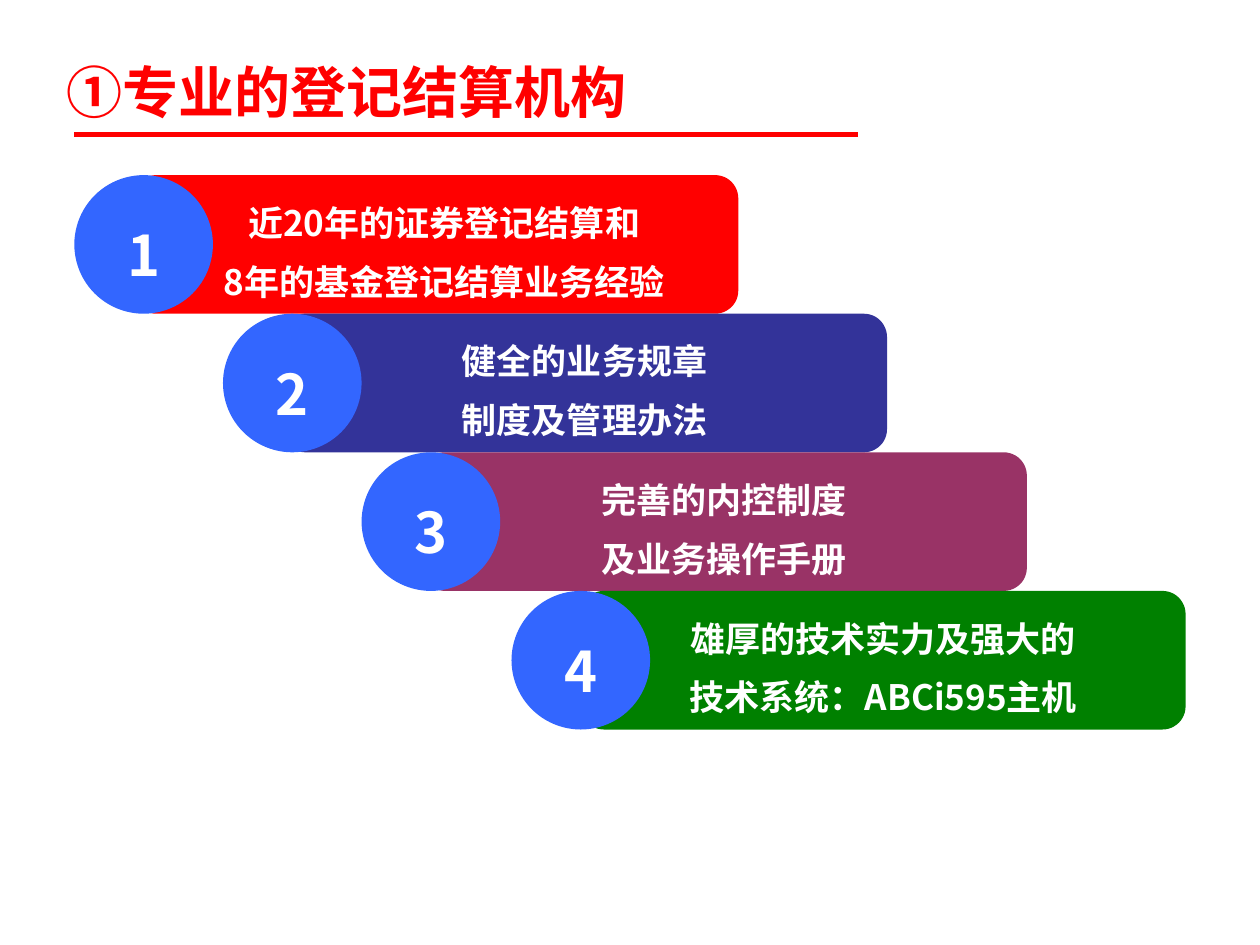
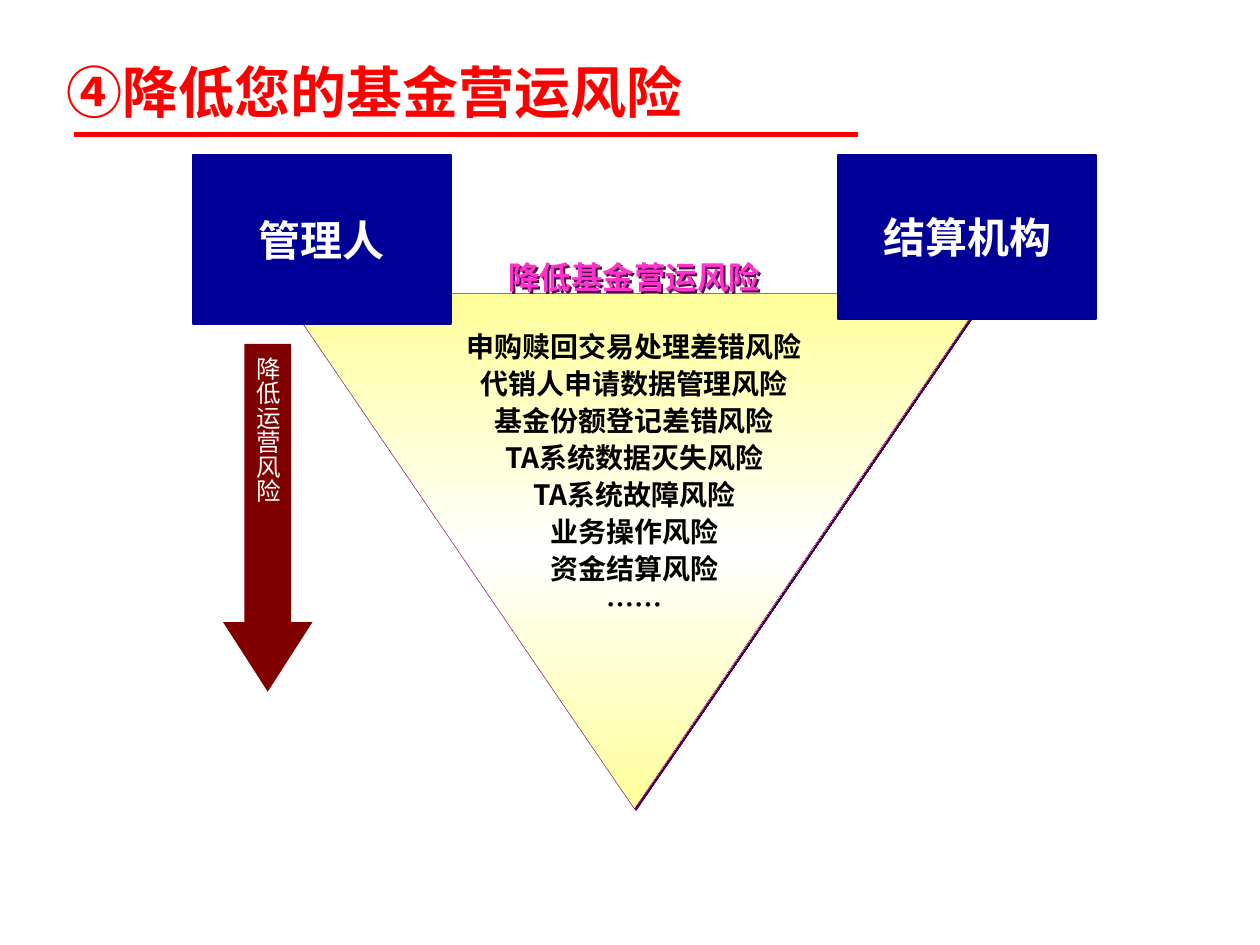
from pptx import Presentation
from pptx.dml.color import RGBColor
from pptx.enum.shapes import MSO_CONNECTOR, MSO_SHAPE
from pptx.enum.text import MSO_ANCHOR, PP_ALIGN
from pptx.oxml import parse_xml
from pptx.oxml.ns import nsdecls, qn
from pptx.util import Inches, Pt
from lxml.etree import SubElement

COLORS = {
    "red": "FF0000", "indigo": "333399", "plum": "993366", "green": "008000",
    "blue": "3366FF", "navy": "000099", "maroon": "800000", "purple": "800080",
    "shadow": "4C004C", "pink": "FF33CC", "yellow": "FFFF99",
    "white": "FFFFFF", "black": "000000",
}
FONT = "Noto Sans CJK SC"
BOX_FONT = "Quicksand"

# Staircase on the first slide
STEP_TOP, STEP_HEIGHT, BAR_WIDTH = 1.39, 1.1, 4.8
STEPS = [  # circle left, bar left, bar colour, lines
    (0.59, 1.06, "red", ["近20年的证券登记结算和", "8年的基金登记结算业务经验"]),
    (1.77, 2.24, "indigo", ["健全的业务规章", "制度及管理办法"]),
    (2.87, 3.35, "plum", ["完善的内控制度", "及业务操作手册"]),
    (4.06, 4.61, "green", ["雄厚的技术实力及强大的", "技术系统：ABCi595主机"]),
]
RISKS = [
    "申购赎回交易处理差错风险", "代销人申请数据管理风险", "基金份额登记差错风险",
    "TA系统数据灭失风险", "TA系统故障风险", "业务操作风险", "资金结算风险", "……",
]


def rgb(name):
    return RGBColor.from_string(COLORS[name])


def write(shape, lines, size, color="white", font=FONT, bold=True, leading=None,
          gap=0, align=PP_ALIGN.CENTER, anchor=MSO_ANCHOR.MIDDLE,
          insets=(0.1, 0.05, 0.1, 0.05), wrap=True):
    """Fill a shape with one paragraph per line."""
    frame = shape.text_frame
    frame.word_wrap = wrap
    frame.vertical_anchor = anchor
    (frame.margin_left, frame.margin_top,
     frame.margin_right, frame.margin_bottom) = map(Inches, insets)
    for index, line in enumerate(lines):
        para = frame.add_paragraph() if index else frame.paragraphs[0]
        para.alignment = align
        para.space_before = para.space_after = Pt(gap)
        if leading:
            para.line_spacing = Pt(leading)
        span = para.add_run()
        span.text = line
        span.font.size, span.font.bold, span.font.name = Pt(size), bold, font
        span.font.color.rgb = rgb(color)
        properties = span.font._element
        properties.set("lang", "zh-CN")
        SubElement(properties, qn("a:ea")).set("typeface", FONT)


def add_block(page, kind, place, fill, line=None):
    """Add a filled preset shape; place is left, top, width, height."""
    block = page.shapes.add_shape(kind, *map(Inches, place))
    block.shadow.inherit = False
    block.fill.solid()
    block.fill.fore_color.rgb = rgb(fill)
    if line:
        block.line.color.rgb = rgb(line)
        block.line.width = Pt(1)
    else:
        block.line.fill.background()
    return block


def add_label(page, place, lines, size, **style):
    box = page.shapes.add_textbox(*map(Inches, place))
    write(box, lines, size, **style)
    return box


def cast_shadow(shape):
    """Give a shape a sharp shadow towards the lower right."""
    properties = shape._element.spPr
    for old in properties.findall(qn("a:effectLst")):
        properties.remove(old)
    properties.append(parse_xml(
        f'<a:effectLst {nsdecls("a")}><a:outerShdw dist="17800" dir="2700000" '
        f'algn="ctr" rotWithShape="0"><a:srgbClr val="{COLORS["shadow"]}"/>'
        '</a:outerShdw></a:effectLst>'))


def blend_vertically(shape, names):
    """Replace the solid fill by an even top-to-bottom gradient."""
    stops = "".join(
        f'<a:gs pos="{index * 100000 // (len(names) - 1)}">'
        f'<a:srgbClr val="{COLORS[name]}"/></a:gs>'
        for index, name in enumerate(names))
    properties = shape._element.spPr
    properties.replace(properties.find(qn("a:solidFill")), parse_xml(
        f'<a:gradFill {nsdecls("a")} rotWithShape="1"><a:gsLst>{stops}</a:gsLst>'
        '<a:lin ang="5400000" scaled="0"/></a:gradFill>'))


def add_page(deck, title):
    """Add a blank page with the shared title and its red rule."""
    page = deck.slides.add_slide(deck.slide_layouts[6])
    add_label(page, (0.43, 0.21, 6.5, 0.87), [title], 32, color="red", leading=46,
              gap=4, align=PP_ALIGN.LEFT, insets=(0.1, 0.1, 0.1, 0.05))
    rule = page.shapes.add_connector(
        MSO_CONNECTOR.STRAIGHT, *map(Inches, (0.59, 1.07, 6.81, 1.07)))
    rule.line.color.rgb = rgb("red")
    rule.line.width = Pt(3)
    SubElement(rule._element.spPr, qn("a:effectLst"))
    return page


def add_step(page, index, circle_left, bar_left, color, lines):
    top = STEP_TOP + index * STEP_HEIGHT
    bar = add_block(page, MSO_SHAPE.ROUNDED_RECTANGLE,
                    (bar_left, top, BAR_WIDTH, STEP_HEIGHT), color)
    # The first bar's long text is moved clear of its circle
    left_inset = 0.1 if index else 0.23
    write(bar, lines, 20, leading=28.7, gap=2.5, insets=(left_inset, 0.1, 0.1, 0.05))
    circle = add_block(page, MSO_SHAPE.OVAL,
                       (circle_left, top, STEP_HEIGHT, STEP_HEIGHT), "blue")
    write(circle, [str(index + 1)], 32, leading=46, gap=4, insets=(0.1, 0.1, 0.1, 0.05))


def add_risk_funnel(page):
    left, width = 2.24, 5.59
    funnel = add_block(page, MSO_SHAPE.FLOWCHART_MERGE, (left, 2.33, width, 4.09),
                       "yellow", "purple")
    funnel.line.width = Pt(0.25)
    blend_vertically(funnel, ["yellow", "white", "yellow"])
    cast_shadow(funnel)
    heading = add_label(page, (left, 1.98, width, 0.4), ["降低基金营运风险"], 18,
                        color="pink", leading=24)
    cast_shadow(heading)
    add_label(page, (left, 2.59, width, 2.4), RISKS, 16, color="black", leading=21.1,
              anchor=MSO_ANCHOR.TOP, insets=(0.1, 0, 0.1, 0))


def add_party(page, left, height, name):
    box = add_block(page, MSO_SHAPE.RECTANGLE, (left, 1.23, 2.05, height), "navy", "navy")
    write(box, [name], 24, font=BOX_FONT)


def add_down_arrow(page, text):
    arrow = add_block(page, MSO_SHAPE.DOWN_ARROW, (1.77, 2.73, 0.71, 2.76), "maroon")
    arrow.adjustments[0], arrow.adjustments[1] = 0.525, 0.777
    write(arrow, [text], 14, bold=False, insets=(0.05, 0.1, 0.05, 0.1), wrap=False)
    arrow.text_frame._txBody.bodyPr.set("vert", "eaVert")


def main():
    deck = Presentation()
    deck.slide_width, deck.slide_height = Inches(10), Inches(7.5)

    # Four strengths as a staircase
    page = add_page(deck, "①专业的登记结算机构")
    for index, step in enumerate(STEPS):
        add_step(page, index, *step)

    # Two parties and the risks between them
    page = add_page(deck, "④降低您的基金营运风险")
    add_risk_funnel(page)
    add_party(page, 1.53, 1.34, "管理人")
    add_party(page, 6.65, 1.3, "结算机构")
    add_down_arrow(page, "降低运营风险")

    deck.save("out.pptx")


if __name__ == "__main__":
    main()
